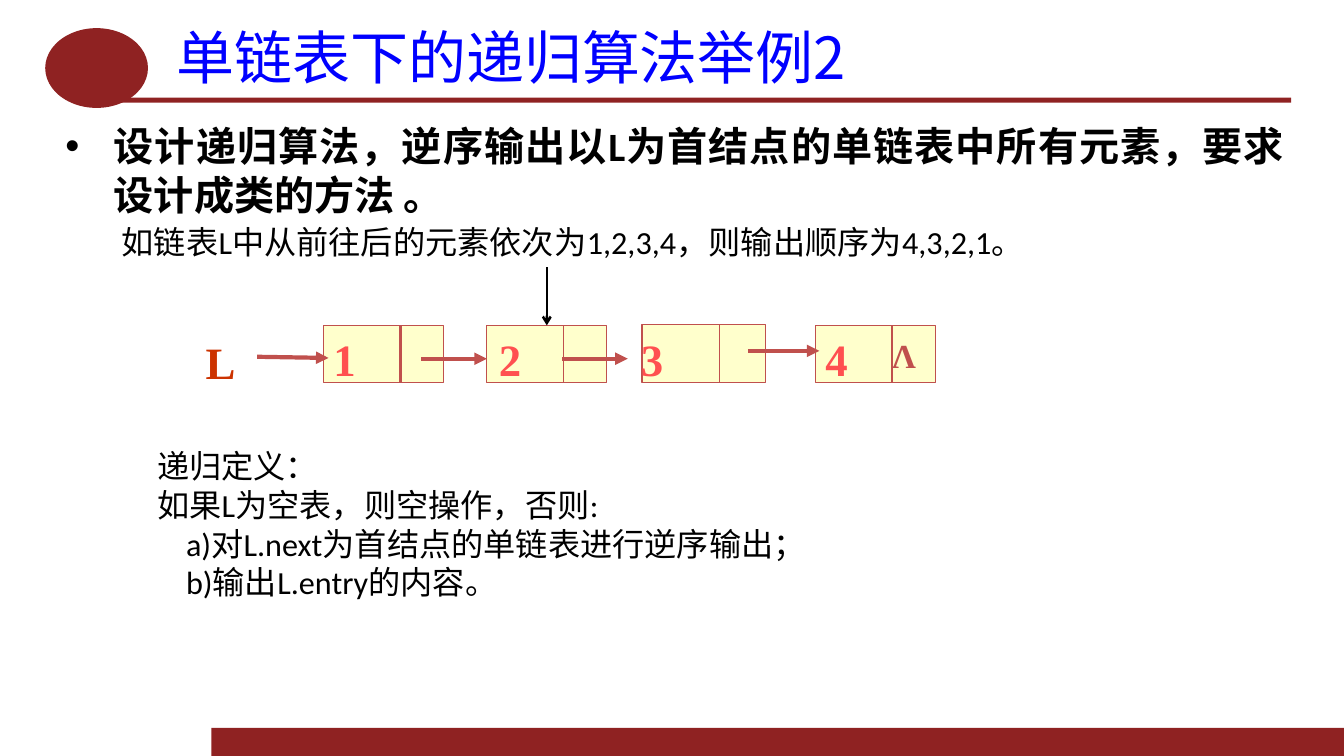
from lxml import etree
from pptx import Presentation
from pptx.dml.color import RGBColor
from pptx.enum.shapes import MSO_CONNECTOR, MSO_SHAPE
from pptx.enum.text import MSO_ANCHOR, MSO_AUTO_SIZE, PP_ALIGN
from pptx.oxml.ns import qn
from pptx.util import Cm, Pt

RECT, OVAL = MSO_SHAPE.RECTANGLE, MSO_SHAPE.OVAL
LINE = MSO_CONNECTOR.STRAIGHT
MIDDLE = MSO_ANCHOR.MIDDLE
FIXED = MSO_AUTO_SIZE.NONE
JUSTIFY = PP_ALIGN.JUSTIFY
TOP = 0


class Theme:
    maroon = RGBColor(0x8F, 0x22, 0x22)
    blue = RGBColor(0, 0, 0xFF)
    black = RGBColor(0, 0, 0)
    cream = RGBColor(0xFF, 0xFF, 0xCC)
    brick = RGBColor(0xC0, 0x50, 0x4D)
    coral = RGBColor(0xFF, 0x50, 0x50)
    rust = RGBColor(0xCC, 0x33, 0)
    sans, serif, head = "Calibri", "Times New Roman", "Noto Sans CJK SC"
    title, task, text, node, null = 41.4, 28.7, 23, 32, 24


def write(para, text, size, color, face=Theme.sans, bold=False):
    """Add one run, with the same face for Latin and East Asian text."""
    run = para.add_run()
    run.text = text
    font = run.font
    font.size, font.bold, font.name = Pt(size), bold, face
    font.color.rgb = color
    etree.SubElement(font._element, qn("a:ea"), typeface=face)


def link(start, end, color, width, head=None):
    """Draw a straight line, with an arrowhead at its end if one is named."""
    line = slide.shapes.add_connector(LINE, *map(Cm, start + end))
    line.line.color.rgb = color
    line.line.width = Pt(width)
    if head:
        etree.SubElement(line.line._get_or_add_ln(), qn("a:tailEnd"), type=head)
    etree.SubElement(line._element.spPr, qn("a:effectLst"))
    return line


deck = Presentation()
deck.slide_width, deck.slide_height = Cm(33.87), Cm(19.05)
slide = deck.slides.add_slide(deck.slide_layouts[5])
shapes = slide.shapes

# Frame
for kind, *area in [
    (RECT, 5.33, 18.34, 29.54 - 1, 0.71),
    (RECT, 3, 2.46, 29.54, 0.13),
    (OVAL, 1.14, 0.71, 2.59, 2.01),
]:
    mark = shapes.add_shape(kind, *map(Cm, area))
    mark.shadow.inherit = False
    mark.fill.solid()
    mark.fill.fore_color.rgb = Theme.maroon
    mark.line.fill.background()

# Title and task
title = shapes.title
title.left, title.top, title.width, title.height = map(Cm, (4.11, 0.53, 28.42, 1.8))
task = shapes.add_textbox(Cm(1.32), Cm(2.92), Cm(31.39), Cm(2.59))
for box in (title, task):
    frame = box.text_frame
    frame.word_wrap, frame.auto_size = True, FIXED
    frame.margin_left = frame.margin_right = Cm(0.33)
    frame.margin_top = frame.margin_bottom = Cm(0.15)
    frame.paragraphs[0].alignment = JUSTIFY
title.text_frame.vertical_anchor = MIDDLE
write(title.text_frame.paragraphs[0], "单链表下的递归算法举例2",
      Theme.title, Theme.blue, Theme.head)

para = task.text_frame.paragraphs[0]
props = para._p.get_or_add_pPr()
props.set("marL", str(Cm(1.22)))
props.set("indent", str(Cm(-1.22)))
etree.SubElement(props, qn("a:buFont"), typeface="Arial")
etree.SubElement(props, qn("a:buChar"), char="•")
write(para, "设计递归算法，逆序输出以L为首结点的单链表中所有元素，要求设计成类的方法 。",
      Theme.task, Theme.black, bold=True)

# Example and definition: each line is an indent and its words
for area, lines in [
    ((2.82, 5.49, 27.25, 1.24), [
        (0, "如链表L中从前往后的元素依次为1,2,3,4，则输出顺序为4,3,2,1。"),
    ]),
    ((3.71, 11.13, 27.81, 4.19), [
        (0, "递归定义："),
        (0, "如果L为空表，则空操作，否则:"),
        (0.73, "a)对L.next为首结点的单链表进行逆序输出；"),
        (0.73, "b)输出L.entry的内容。"),
    ]),
]:
    frame = shapes.add_textbox(*map(Cm, area)).text_frame
    frame.word_wrap = True
    for i, (inset, words) in enumerate(lines):
        para = frame.add_paragraph() if i else frame.paragraphs[0]
        para._p.get_or_add_pPr().set("marL", str(Cm(inset)))
        write(para, words, Theme.text, Theme.black)

# List nodes: left, top, width and the offsets of the dividers
nodes = []
for left, top, width, splits in [
    (8.15, 8.2, 3.02, (1.93, 1.96)),
    (12.27, 8.2, 3.02, (1.93,)),
    (16.18, 8.18, 3.12, (1.96,)),
    (20.55, 8.2, 3.02, (1.91, 1.93)),
]:
    node = shapes.add_shape(RECT, Cm(left), Cm(top), Cm(width), Cm(1.45))
    node.shadow.inherit = False
    node.fill.solid()
    node.fill.fore_color.rgb = Theme.cream
    node.line.color.rgb = Theme.brick
    node.line.width = Pt(0.75)
    nodes.append(node)
    for split in splits:
        x = left + split
        link((x, top), (x, top + 1.46), Theme.brick, 0.75)

# Arrows between nodes, and the pointer to the second node
for start, end in [
    ((6.48, 8.99), (8.28, 9.02)),
    ((10.62, 9.04), (12.27, 9.04)),
    ((14.17, 9.04), (15.82, 9.04)),
    ((18.85, 8.84), (20.65, 8.84)),
]:
    link(start, end, Theme.brick, 3, "triangle")
point = link((13.78, 6.73), (13.78, 8.2), Theme.black, 1.75, "arrow")
point.end_connect(nodes[1], TOP)

# Labels
for words, left, top, width, height, size, color in [
    ("1", 8.15, 8.23, 1.09, 1.63, Theme.node, Theme.coral),
    ("2", 12.32, 8.23, 1.09, 1.63, Theme.node, Theme.coral),
    ("3", 15.9, 8.23, 1.09, 1.63, Theme.node, Theme.coral),
    ("4", 20.55, 8.23, 1.09, 1.63, Theme.node, Theme.coral),
    ("Λ", 22.23, 8.31, 1.12, 1.27, Theme.null, Theme.brick),
    ("L", 4.93, 8.31, 1.27, 1.63, Theme.node, Theme.rust),
]:
    label = shapes.add_textbox(Cm(left), Cm(top), Cm(width), Cm(height))
    label.text_frame.word_wrap = False
    write(label.text_frame.paragraphs[0], words, size, color, Theme.serif, True)

deck.save("out.pptx")
